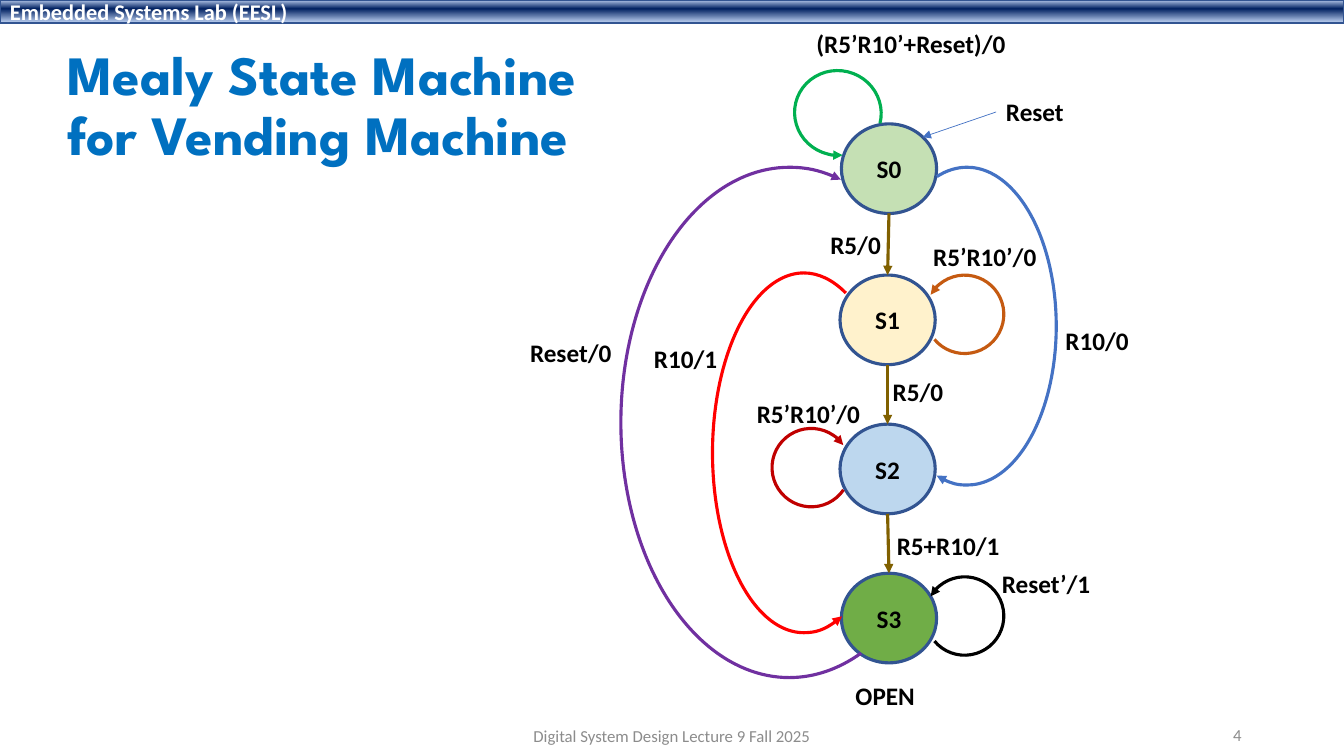
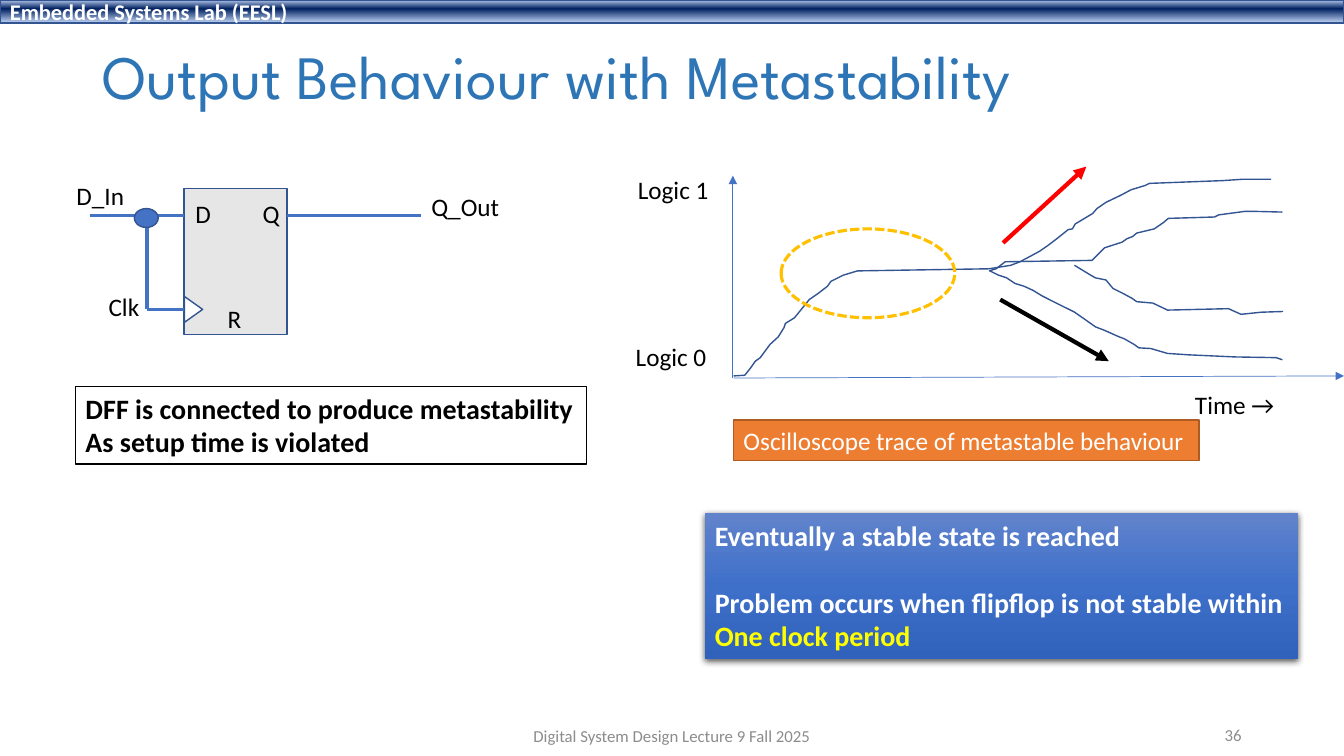
from lxml import etree
from pptx import Presentation
from pptx.dml.color import RGBColor
from pptx.enum import dml, shapes, text
from pptx.oxml.ns import qn
from pptx.util import Pt

BLACK = RGBColor(0, 0, 0)
WHITE = RGBColor(255, 255, 255)
GREY = RGBColor(0x8C, 0x8C, 0x8C)
SILVER = RGBColor(0xE7, 0xE6, 0xE6)
NAVY = RGBColor(0x32, 0x54, 0x91)
BLUE = RGBColor(0x44, 0x72, 0xC4)
AZURE = RGBColor(0x00, 0x70, 0xC0)
STEEL = RGBColor(0x2E, 0x75, 0xB6)
SKY = RGBColor(0xBD, 0xD7, 0xEE)
MINT = RGBColor(0xC5, 0xE0, 0xB4)
CREAM = RGBColor(0xFF, 0xF2, 0xCC)
LEAF = RGBColor(0x70, 0xAD, 0x47)
GREEN = RGBColor(0x00, 0xB0, 0x50)
OLIVE = RGBColor(0x80, 0x60, 0x00)
RED = RGBColor(0xFF, 0, 0)
WINE = RGBColor(0xC0, 0, 0)
RUST = RGBColor(0xC5, 0x5A, 0x11)
PURPLE = RGBColor(0x70, 0x30, 0xA0)
ORANGE = RGBColor(0xED, 0x7D, 0x31)
BROWN = RGBColor(0xAF, 0x5C, 0x24)
GOLD = RGBColor(0xFF, 0xC0, 0)
YELLOW = RGBColor(0xFF, 0xFF, 0)
# Gradients: (percent, colour), from top to bottom
STEEP = [(2, "ABC0E4"), (38, "002060"), (93, "ACC1E5")]
SOFT = [(0, "6183CB"), (50, "3E70CA"), (100, "3062BB")]

KIND = shapes.MSO_SHAPE
LEFT, MID, RIGHT = text.PP_ALIGN.LEFT, text.PP_ALIGN.CENTER, text.PP_ALIGN.RIGHT


def put(slide, at, words="", kind=None, fill=None, edge=None, wide=1, size=18,
        ink=BLACK, bold=False, align=LEFT, center=False, face="Calibri"):
    """Add a text box, or a preset shape when a kind is given."""
    at = [Pt(n) for n in at]
    if kind is None:
        item = slide.shapes.add_textbox(*at)
    else:
        item = slide.shapes.add_shape(kind, *at)
        item.shadow.inherit = False
        if isinstance(fill, list):
            item.fill.gradient()
            item.fill.gradient_angle = 270
            stops = item._element.spPr.find(qn("a:gradFill")).find(qn("a:gsLst"))
            stops.clear()
            for part, tone in fill:
                stop = etree.SubElement(stops, qn("a:gs"), pos=str(part * 1000))
                etree.SubElement(stop, qn("a:srgbClr"), val=tone)
        elif fill is None:
            item.fill.background()
        else:
            item.fill.solid()
            item.fill.fore_color.rgb = fill
        if edge is None:
            item.line.fill.background()
        else:
            item.line.color.rgb = edge
            item.line.width = Pt(wide)
    if words:
        frame = item.text_frame
        frame.word_wrap = False
        frame.vertical_anchor = text.MSO_ANCHOR.MIDDLE if center else text.MSO_ANCHOR.TOP
        frame.text = words
        for par in frame.paragraphs:
            par.alignment = align
            par.font.name, par.font.size = face, Pt(size)
            par.font.bold, par.font.color.rgb = bold, ink
    return item


def join(slide, start, end, color, wide=2.25, tip=True):
    """Add a straight line, with an arrowhead at its end if wanted."""
    ends = [Pt(n) for n in (*start, *end)]
    item = slide.shapes.add_connector(shapes.MSO_CONNECTOR.STRAIGHT, *ends)
    item.line.color.rgb = color
    item.line.width = Pt(wide)
    props = item._element.spPr
    if tip:
        etree.SubElement(props.find(qn("a:ln")), qn("a:tailEnd"), type="triangle")
    etree.SubElement(props, qn("a:effectLst"))


deck = Presentation()
deck.slide_width, deck.slide_height = Pt(960), Pt(540)

# Shared band, title, footer and number
pages = []
for title, at, size, ink, bold, num in [
    ("Mealy State Machine\vfor Vending Machine", (41, 24.5, 438.5, 104.5), 39.6, AZURE, True, "4"),
    ("Output Behaviour with Metastability", (66, 23, 828, 67), 44, STEEL, False, "36"),
]:
    page = deck.slides.add_slide(deck.slide_layouts[6])
    put(page, (0, 0, 960, 16.5), "Embedded Systems Lab (EESL)", KIND.RECTANGLE, STEEP, NAVY,
        size=16, ink=WHITE, bold=True, center=True)
    head = put(page, at, title, size=size, ink=ink, bold=bold, center=True, face="League Spartan")
    head.text_frame.paragraphs[0].line_spacing = 0.9
    put(page, (318, 511, 324, 29), "Digital System Design Lecture 9 Fall 2025",
        size=12, ink=GREY, align=MID, center=True)
    put(page, (678, 510.5, 216, 29), num, size=12, ink=GREY, align=RIGHT, center=True)
    pages.append(page)
mealy, meta = pages

# States, each joined to the one before
WIDE, HIGH = 68, 64
last = None
for i, (left, top, fill) in enumerate([(601, 88.5, MINT), (600, 196.5, CREAM),
                                       (600, 303, SKY), (601, 409.5, LEAF)]):
    put(mealy, (left, top, WIDE, HIGH), f"S{i}", KIND.OVAL, fill, NAVY, 2.25,
        bold=True, align=MID, center=True)
    peak = (left + WIDE / 2, top)
    if last:
        join(mealy, last, peak, OLIVE)
    last = (peak[0], top + HIGH)
join(mealy, (711.5, 80), (659, 98), BLUE, 0.5)

# Curved moves: place, angles, turn, flip, arrow end, colour
LOOP = (41.84, 0)
for at, ends, turn, flip, tip, color in [
    ((627, 119.5, 127.5, 227), (155.17, 60.89), 0, False, "tailEnd", BLUE),
    ((509, 195, 130.5, 257), (153.18, 61.87), 0, True, "tailEnd", RED),
    ((443.5, 119.5, 240.5, 364.5), (154.79, 64.38), 0, True, "headEnd", PURPLE),
    ((567.5, 50.5, 62, 60.5), LOOP, 13.8, False, "headEnd", GREEN),
    ((661, 196.5, 56, 56), LOOP, 140.3, False, "headEnd", RUST),
    ((661, 412, 56, 56), LOOP, 140.3, False, "headEnd", BLACK),
    ((551.5, 306, 56, 56), LOOP, 214.6, True, "headEnd", WINE),
]:
    arc = put(mealy, at, kind=KIND.ARC, edge=color, wide=2.25)
    arc.adjustments[0], arc.adjustments[1] = ends
    arc.rotation = turn
    props = arc._element.spPr
    if flip:
        props.find(qn("a:xfrm")).set("flipH", "1")
    etree.SubElement(props.find(qn("a:ln")), qn(f"a:{tip}"), type="triangle")

# Labels of the moves
for words, left, top, wide in [
    ("(R5’R10’+Reset)/0", 576, 16.5, 151), ("Reset", 711.5, 65.5, 56),
    ("R5/0", 586, 160, 51), ("R5’R10’/0", 659.5, 168.5, 89),
    ("R10/0", 754, 228.5, 60.5), ("Reset/0", 371.5, 237.5, 73.5),
    ("R10/1", 460, 242, 60.5), ("R5/0", 630.5, 265, 51),
    ("R5’R10’/0", 533.5, 281, 89), ("R5+R10/1", 633.5, 375, 88.5),
    ("Reset’/1", 708.5, 402.5, 78.5), ("OPEN", 604, 482.5, 57.5),
]:
    put(mealy, (left, top, wide, 29), words, bold=True)

# Flip-flop and its wires
put(meta, (131.5, 134.5, 73.5, 104.5), kind=KIND.RECTANGLE, fill=SILVER, edge=NAVY)
notch = put(meta, (129, 214.5, 18.5, 13), kind=KIND.ISOSCELES_TRIANGLE, fill=WHITE, edge=NAVY)
notch.rotation = 90
for start, end in [((64, 154), (131.5, 154)), ((105, 154), (105, 221)),
                   ((105, 221), (131.5, 221)), ((205, 154), (301, 154))]:
    join(meta, start, end, BLUE, tip=False)
put(meta, (96, 149, 17, 13.5), kind=KIND.OVAL, fill=BLUE, edge=NAVY)

# Names of pins and axes
for words, left, top, wide in [
    ("D_In", 47.5, 125.5, 49), ("D", 132.5, 138, 25), ("Q", 180.5, 138, 26),
    ("Q_Out", 301, 133, 63.5), ("R", 155.5, 213, 24.5), ("Clk", 70.5, 204.5, 36.5),
    ("Logic 1", 448.5, 121, 65.5), ("Logic 0", 447, 240, 65.5), ("Time →", 846.5, 274.5, 72),
]:
    put(meta, (left, top, wide, 29), words)

# Axes and scope traces
join(meta, (523.5, 270), (523.5, 125.5), BLUE, 0.5)
join(meta, (524, 270), (960, 268.5), BLUE, 0.5)
for trace in [
    [(524, 268.5), (532, 268), (536, 263), (539.5, 258), (543, 255.5), (550, 246), (556, 240.5),
     (560, 234), (561, 231), (567.5, 227), (578, 214), (584.5, 209.5), (591, 204.5),
     (593.5, 201), (602.5, 196.5), (612.5, 193.5), (706.5, 192), (722, 189.5), (728.5, 187),
     (736, 183), (742.5, 179.5), (749, 175), (755.5, 170), (763, 164), (766, 163.5),
     (768, 160), (780.5, 152.5), (783.5, 149), (790, 144.5), (800.5, 139.5), (808, 135.5),
     (818, 132.5), (821, 131), (873.5, 129), (888, 128), (908, 128)],
    [(706.5, 193.5), (711.5, 192), (718, 187), (780, 186), (786, 180), (789, 177),
     (801.5, 173), (805, 170.5), (809, 169), (812, 166.5), (824.5, 163.5), (831, 159),
     (834.5, 156), (867.5, 155), (870.5, 153.5), (889, 151), (897, 151), (916, 151.5)],
    [(767.5, 189.5), (779, 196.5), (782.5, 198.5), (790, 200), (795, 206), (802, 209.5),
     (808.5, 213), (812, 215.5), (823.5, 216.5), (834, 221.5), (877.5, 220.5),
     (886.5, 224.5), (901, 223), (916.5, 222.5)],
    [(707, 193.5), (713, 196.5), (719, 198.5), (725, 202.5), (731.5, 204.5), (738, 207.5),
     (744.5, 211.5), (754.5, 216.5), (767.5, 223), (774, 227.5), (782.5, 233.5),
     (789, 236), (799, 240.5), (803, 242), (810, 246), (813.5, 248.5), (822, 249),
     (834, 252.5), (849, 253.5), (882, 255), (911.5, 255.5), (916, 257)],
]:
    dots = [(Pt(x), Pt(y)) for x, y in trace]
    pen = meta.shapes.build_freeform(*dots[0])
    pen.add_line_segments(dots[1:], close=False)
    curve = pen.convert_to_shape()
    curve.shadow.inherit = False
    curve.fill.background()
    curve.line.color.rgb = NAVY
    curve.line.width = Pt(1)

# Marks on the traces
join(meta, (716.5, 173.5), (776, 119), RED, 3)
join(meta, (714.5, 214), (792, 258), BLACK, 3)
ring = put(meta, (558, 163.5, 124, 63.5), kind=KIND.OVAL, edge=GOLD, wide=2.25)
ring.line.dash_style = dml.MSO_LINE.SQUARE_DOT

# Notes
put(meta, (54, 276, 365, 55.5), "DFF is connected to produce metastability\nAs setup time is violated",
    KIND.RECTANGLE, WHITE, BLACK, size=20, bold=True)
put(meta, (524, 300, 332.5, 29), "Oscilloscope trace of metastable behaviour",
    KIND.RECTANGLE, ORANGE, BROWN, ink=WHITE)
note = put(meta, (503.5, 366.5, 424, 104.5),
           "Eventually a stable state is reached\n"
           "Problem occurs when flipflop is not stable within\nOne clock period",
           KIND.RECTANGLE, SOFT, size=20, ink=WHITE, bold=True)
lines = note.text_frame.paragraphs
lines[1].space_before = Pt(24)
lines[2].font.color.rgb = YELLOW
glow = etree.SubElement(note._element.spPr.find(qn("a:effectLst")), qn("a:outerShdw"),
                        blurRad=str(Pt(4.5)), dist=str(Pt(1.5)), dir="5400000")
tint = etree.SubElement(glow, qn("a:srgbClr"), val="000000")
etree.SubElement(tint, qn("a:alpha"), val="63000")

deck.save("out.pptx")
